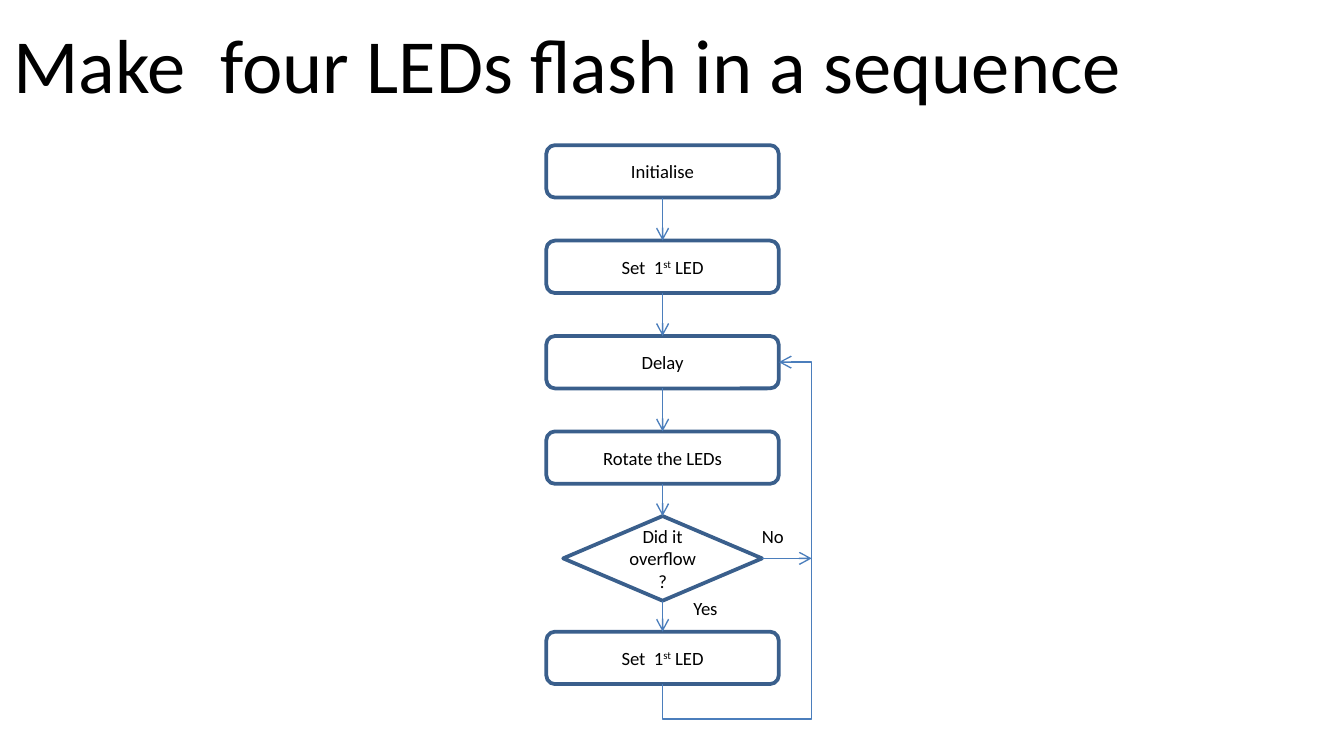
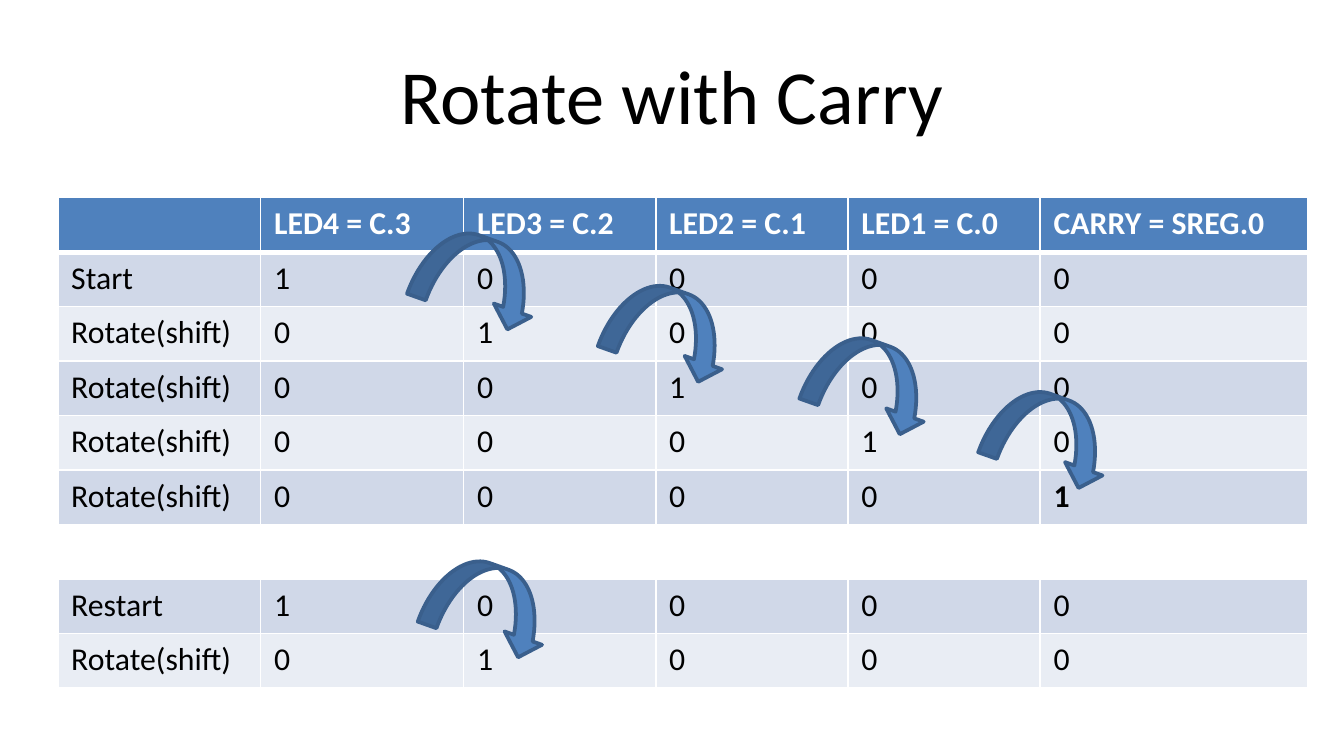
from dataclasses import dataclass

from lxml import etree
from pptx import Presentation, util as u
from pptx.dml.color import RGBColor
from pptx.enum import shapes as s, text as t
from pptx.oxml import ns


@dataclass(frozen=True)
class Theme:
    font: str = "Calibri"
    title: float = 41
    cell: float = 17
    label: float = 10
    edge: float = 2
    thin: float = 0.75
    black: str = "000000"
    white: str = "FFFFFF"
    blue: str = "4F81BD"
    dark: str = "3A5F8C"
    wire: str = "4B7EBC"
    bands: tuple = ("D0D8E8", "E9EDF4")


LOOK = Theme()
LEFT, MID = t.PP_ALIGN.LEFT, t.PP_ALIGN.CENTER
TOP, BOTTOM, RIGHT = 0, 2, 3

# Flow chart geometry
AXIS, BOX_W, BOX_H = 4.93, 1.73, 0.39
STEP_TOP, STEP_GAP = 1.08, 0.71
STEPS = ["Initialise", "Set  1^st^ LED", "Delay", "Rotate the LEDs"]
TEST_W, TEST_H, TEST_TOP = 1.48, 0.63, 3.84
LAST_TOP = 4.7
LOOP_X, LOOP_Y = 6.04, 5.35

# Table content
COLS = [1.51, 1.51, 1.43, 1.43, 1.43, 1.99]
HEADS = ["", "LED4 = C.3", "LED3 = C.2", "LED2 = C.1", "LED1 = C.0",
         "CARRY = SREG.0"]
SHIFT = "Rotate(shift)"
# Row name and the column that holds the 1; None leaves a gap
ROWS = [("Start", 1), (SHIFT, 2), (SHIFT, 3), (SHIFT, 4), (SHIFT, 5),
        None, ("Restart", 1), (SHIFT, 2)]
HOPS = [(3.1, 1.77), (4.52, 2.16), (6.02, 2.55), (7.35, 2.95), (3.18, 4.21)]


def rgb(code):
    return RGBColor.from_string(code)


def box(*dims):
    return [u.Inches(d) for d in dims]


def style(para, size, color=LOOK.black, bold=False, align=LEFT):
    para.alignment = align
    font = para.font
    font.name, font.size, font.bold = LOOK.font, u.Pt(size), bold
    font.color.rgb = rgb(color)


def write(para, words):
    """Add runs; parts between ^ marks are raised."""
    for i, part in enumerate(words.split("^")):
        run = para.add_run()
        run.text = part
        if i % 2:
            run._r.get_or_add_rPr().set("baseline", "30000")


def add_page(prs, title, dims, align):
    page = prs.slides.add_slide(prs.slide_layouts[5])
    head = page.shapes.title
    head.left, head.top, head.width, head.height = box(*dims)
    head.text_frame.text = title
    head.text_frame.vertical_anchor = t.MSO_ANCHOR.MIDDLE
    style(head.text_frame.paragraphs[0], LOOK.title, align=align)
    return page


def add_node(page, kind, dims, fill, words=""):
    node = page.shapes.add_shape(kind, *box(*dims))
    node.shadow.inherit = False
    node.fill.solid()
    node.fill.fore_color.rgb = rgb(fill)
    node.line.color.rgb = rgb(LOOK.dark)
    node.line.width = u.Pt(LOOK.edge)
    if words:
        frame = node.text_frame
        frame.word_wrap = True
        frame.vertical_anchor = t.MSO_ANCHOR.MIDDLE
        write(frame.paragraphs[0], words)
        style(frame.paragraphs[0], LOOK.label, align=MID)
    return node


def add_step(page, words, top):
    return add_node(page, s.MSO_SHAPE.FLOWCHART_ALTERNATE_PROCESS,
                    (AXIS - BOX_W / 2, top, BOX_W, BOX_H), LOOK.white, words)


def add_wire(page, kind, dims):
    wire = page.shapes.add_connector(kind, *box(*dims))
    wire.line.color.rgb = rgb(LOOK.wire)
    wire.line.width = u.Pt(LOOK.thin)
    line = wire.line._get_or_add_ln()
    etree.SubElement(line, ns.qn("a:tailEnd"), type="arrow")
    etree.SubElement(wire._element.spPr, ns.qn("a:effectLst"))
    return wire


def link(page, start, end):
    wire = add_wire(page, s.MSO_CONNECTOR.STRAIGHT, (0, 0, 1, 1))
    wire.begin_connect(start, BOTTOM)
    wire.end_connect(end, TOP)


def add_loop(page, start, end):
    """Lead from below one box, round the right, into another's side."""
    x1, y1 = AXIS, start + BOX_H
    x2, y2 = AXIS + BOX_W / 2, end + BOX_H / 2
    wide, high = y1 - y2, x2 - x1
    left, top = (x1 + x2 - wide) / 2, (y1 + y2 - high) / 2
    wire = add_wire(page, s.MSO_CONNECTOR.ELBOW,
                    (left, top, left + wide, top + high))
    props = wire._element.spPr
    frame = props.find(ns.qn("a:xfrm"))
    for key, value in (("rot", "5400000"), ("flipH", "1"), ("flipV", "1")):
        frame.set(key, value)
    geom = props.find(ns.qn("a:prstGeom"))
    geom.set("prst", "bentConnector4")
    guides = geom.find(ns.qn("a:avLst"))
    bends = ((y1 - LOOP_Y) / wide, (LOOP_X - x1) / high)
    for i, bend in enumerate(bends, 1):
        etree.SubElement(guides, ns.qn("a:gd"), name=f"adj{i}",
                         fmla=f"val {round(bend * 100000)}")


def add_label(page, words, dims):
    frame = page.shapes.add_textbox(*box(*dims)).text_frame
    frame.word_wrap = False
    frame.auto_size = t.MSO_AUTO_SIZE.SHAPE_TO_FIT_TEXT
    frame.text = words
    style(frame.paragraphs[0], LOOK.label)


def add_rules(cell, base):
    """White cell borders, with the given weight at the bottom."""
    props = cell._tc.get_or_add_tcPr()
    for side, width in (("L", 1), ("R", 1), ("T", 1), ("B", base)):
        line = etree.SubElement(props, ns.qn(f"a:ln{side}"),
                                w=str(u.Pt(width)))
        fill = etree.SubElement(line, ns.qn("a:solidFill"))
        etree.SubElement(fill, ns.qn("a:srgbClr"), val=LOOK.white)


def fill_cell(cell, words, fill, color=LOOK.black, bold=False, base=1):
    add_rules(cell, base)
    if fill:
        cell.fill.solid()
        cell.fill.fore_color.rgb = rgb(fill)
    else:
        cell.fill.background()
    cell.text = words
    style(cell.text_frame.paragraphs[0], LOOK.cell, color, bold)


def add_grid(page):
    grid = page.shapes.add_table(len(ROWS) + 1, len(COLS),
                                 *box(0.43, 1.47, sum(COLS), 3.65)).table
    for col, width in zip(grid.columns, COLS):
        col.width = u.Inches(width)
    for c, words in enumerate(HEADS):
        fill_cell(grid.cell(0, c), words, LOOK.blue, LOOK.white, True, 3)
    for r, row in enumerate(ROWS):
        for c in range(len(COLS)):
            cell = grid.cell(r + 1, c)
            if row is None:
                fill_cell(cell, "", None)
                continue
            name, one = row
            words = str(int(c == one)) if c else name
            carry = c == one == len(COLS) - 1
            fill_cell(cell, words, LOOK.bands[r % 2], bold=carry)


def flow_page(prs):
    page = add_page(prs, "Make  four LEDs flash in a sequence",
                    (0, 0, 9, 0.94), LEFT)
    # Boxes from top to bottom
    tops = [STEP_TOP + i * STEP_GAP for i in range(len(STEPS))]
    nodes = [add_step(page, *pair) for pair in zip(STEPS, tops)]
    test = add_node(page, s.MSO_SHAPE.FLOWCHART_DECISION,
                    (AXIS - TEST_W / 2, TEST_TOP, TEST_W, TEST_H),
                    LOOK.white, "Did it overflow ?")
    nodes += [test, add_step(page, STEPS[1], LAST_TOP)]
    # Arrows down the axis and back to the delay
    for start, end in zip(nodes, nodes[1:]):
        link(page, start, end)
    add_loop(page, LAST_TOP, tops[2])
    level = TEST_TOP + TEST_H / 2
    side = add_wire(page, s.MSO_CONNECTOR.STRAIGHT,
                    (AXIS + TEST_W / 2, level, LOOP_X, level))
    side.begin_connect(test, RIGHT)
    # Answers
    add_label(page, "No", (5.57, 3.86, 0.37, 0.27))
    add_label(page, "Yes", (5.06, 4.39, 0.39, 0.27))


def carry_page(prs):
    page = add_page(prs, "Rotate with Carry", (0.5, 0.23, 9, 0.94), MID)
    add_grid(page)
    # Curved arrows follow the 1 from row to row
    for left, top in HOPS:
        hop = add_node(page, s.MSO_SHAPE.CURVED_DOWN_ARROW,
                       (left, top, 0.94, 0.59), LOOK.blue)
        hop.rotation = 19.6


def main():
    prs = Presentation()
    # Wide slides, 16 to 9
    prs.slide_width = u.Inches(10)
    prs.slide_height = u.Inches(10 * 9 / 16)
    flow_page(prs)
    carry_page(prs)
    prs.save("out.pptx")


if __name__ == "__main__":
    main()
